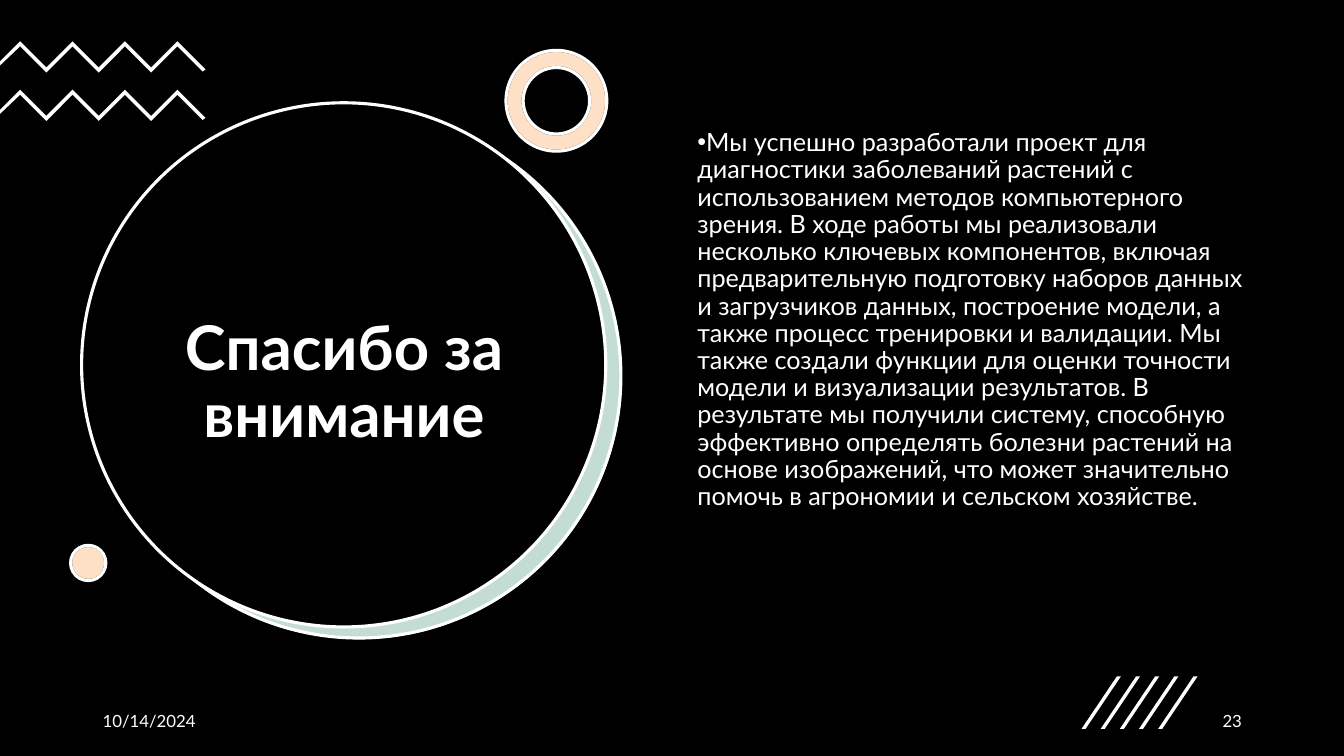
from collections import namedtuple

from lxml import etree
from pptx import Presentation
from pptx.dml.color import RGBColor
from pptx.enum.shapes import MSO_SHAPE as SHAPE
from pptx.enum.text import MSO_ANCHOR as ANCHOR, MSO_AUTO_SIZE as FIT, PP_ALIGN as ALIGN
from pptx.oxml.ns import qn
from pptx.util import Inches, Pt

BLACK = RGBColor(0x00, 0x00, 0x00)
WHITE = RGBColor(0xFF, 0xFF, 0xFF)
GREEN = RGBColor(0x3D, 0x90, 0x72)
ORANGE = RGBColor(0xFA, 0x9A, 0x42)
FONT = "Lato"
LINE_WIDTH = Pt(2.25)

# The slide is a grid of square cells; every box is given in cells
CELL = Inches(0.1)
COLS, ROWS = 133.33, 75
Box = namedtuple("Box", "left top width height")

TITLE = "Спасибо за внимание"
SUMMARY = (
    "Мы успешно разработали проект для диагностики заболеваний растений "
    "с использованием методов компьютерного зрения. В ходе работы мы "
    "реализовали несколько ключевых компонентов, включая предварительную "
    "подготовку наборов данных и загрузчиков данных, построение модели, "
    "а также процесс тренировки и валидации. Мы также создали функции для "
    "оценки точности модели и визуализации результатов. В результате мы "
    "получили систему, способную эффективно определять болезни растений на "
    "основе изображений, что может значительно помочь в агрономии и "
    "сельском хозяйстве."
)


def emu(*cells):
    return [round(c * CELL) for c in cells]


def paint(sp, fill, line=None, alpha=None):
    sp.shadow.inherit = False
    sp.fill.solid()
    sp.fill.fore_color.rgb = fill
    if alpha:
        color = sp.element.spPr.find(qn("a:solidFill"))[0]
        etree.SubElement(color, qn("a:alpha"), val=str(alpha * 1000))
    if line is None:
        sp.line.fill.background()
    else:
        sp.line.color.rgb = line
        sp.line.width = LINE_WIDTH


def add_preset(shapes, kind, box, fill, line=None, alpha=None):
    sp = shapes.add_shape(kind, *emu(*box))
    paint(sp, fill, line, alpha)
    return sp


def add_outline(shapes, points):
    start, *rest = [emu(*pt) for pt in points]
    builder = shapes.build_freeform(*start)
    builder.add_line_segments(rest, close=True)
    paint(builder.convert_to_shape(), WHITE)


def write(sp, text, size, frame=None, para=None, bold=False):
    tf = sp.text_frame
    tf.text = text
    for name, value in {"word_wrap": True, "auto_size": FIT.NONE, **(frame or {})}.items():
        setattr(tf, name, value)
    p = tf.paragraphs[0]
    for name, value in (para or {}).items():
        setattr(p, name, value)
    font = p.runs[0].font
    for name, value in {"name": FONT, "size": Pt(size), "bold": bold}.items():
        setattr(font, name, value)
    font.color.rgb = WHITE
    return p


def add_title_disc(slide, box):
    """Outlined disc with a tinted crescent behind it and the title inside."""
    shapes = slide.shapes
    shade = box._replace(left=box.left + 1.5, top=box.top + 1.1)
    backing = box._replace(left=box.left + 1.6, top=box.top + 1.2)
    add_preset(shapes, SHAPE.OVAL, backing, WHITE)
    add_preset(shapes, SHAPE.OVAL, shade, GREEN, WHITE, 30)
    add_preset(shapes, SHAPE.OVAL, box, BLACK, WHITE)

    title = shapes.title
    title.element.getparent().append(title.element)  # in front of the disc
    title.left, title.top, title.width, title.height = emu(
        box.left + 4, box.top + 10.3, 44.1, 35.2)
    write(title, TITLE, 44, {"vertical_anchor": ANCHOR.MIDDLE},
          {"alignment": ALIGN.CENTER, "line_spacing": 0.9}, bold=True)


def add_zigzags(shapes, box, count=2, step=2.6, thick=0.5):
    """Zigzag bands that run in from the left edge of the slide."""
    group = shapes.add_group_shape().shapes
    right = box.left + box.width
    pitch = (box.height - 3) / (count - 1)
    for row in range(count):
        top = box.top + row * pitch
        ridge = [(box.left + 2 + step * i, top + step * (i % 2)) for i in range(7)]
        tip = [(right, top + 2.8), (right - 0.3, top + 3)]
        under = [(x, y + thick) for x, y in reversed(ridge)]
        start = [(box.left, top + 2.4), (box.left, top + 2)]
        add_outline(group, ridge + tip + under + start)


def add_tinted(shapes, kind, box, rim=None):
    """Peach figure: a white base under a translucent layer."""
    for fill, line, alpha in ((WHITE, BLACK, None), (ORANGE, WHITE, 30)):
        sp = add_preset(shapes, kind, box, fill, line, alpha)
        if rim:
            sp.adjustments[0] = rim


def add_summary(shapes, box):
    sp = shapes.add_textbox(*emu(*box))
    p = write(sp, SUMMARY, 18, para={"line_spacing": 0.9, "space_after": Pt(6)})
    pPr = p._p.get_or_add_pPr()
    pPr.set("marL", "0")
    pPr.set("indent", str(-Inches(0.25)))
    etree.SubElement(pPr, qn("a:buFont"), typeface="Arial")
    etree.SubElement(pPr, qn("a:buChar"), char="•")


def add_footer(shapes, box, width=30):
    """Date at the left end of the box, page number at the right end."""
    right = box.left + box.width - width
    for left, text, align in ((box.left, "10/14/2024", ALIGN.LEFT),
                              (right, "23", ALIGN.RIGHT)):
        sp = shapes.add_textbox(*emu(left, box.top, width, box.height))
        write(sp, text, 12, {"vertical_anchor": ANCHOR.MIDDLE},
              {"alignment": align, "space_after": Pt(6)})


def add_slashes(shapes, box, count=5, width=3.9, thick=0.4):
    group = shapes.add_group_shape().shapes
    pitch = (box.width - width) / (count - 1)
    bottom = box.top + box.height
    for i in range(count):
        left = box.left + i * pitch
        right = left + width
        add_outline(group, [(left + thick, bottom), (left, bottom),
                            (right - thick, box.top), (right, box.top)])


def add_closing_slide(prs):
    slide = prs.slides.add_slide(prs.slide_layouts[5])
    shapes = slide.shapes
    add_preset(shapes, SHAPE.RECTANGLE, Box(0, 0, COLS, ROWS), BLACK)
    add_title_disc(slide, Box(8.1, 10.2, 52, 52))
    add_zigzags(shapes, Box(0, 4.1, 20.4, 7.8))
    add_tinted(shapes, SHAPE.DONUT, Box(50.2, 5, 10, 10), rim=0.17)
    add_tinted(shapes, SHAPE.OVAL, Box(7, 54.1, 3.5, 3.5))
    add_summary(shapes, Box(68.2, 12.4, 57.1, 47.6))
    add_footer(shapes, Box(9.2, 69.5, 115, 4))
    add_slashes(shapes, Box(107.3, 67.1, 11.5, 5.2))


def main():
    prs = Presentation()
    prs.slide_width, prs.slide_height = emu(COLS, ROWS)
    add_closing_slide(prs)
    prs.save("out.pptx")


if __name__ == "__main__":
    main()
